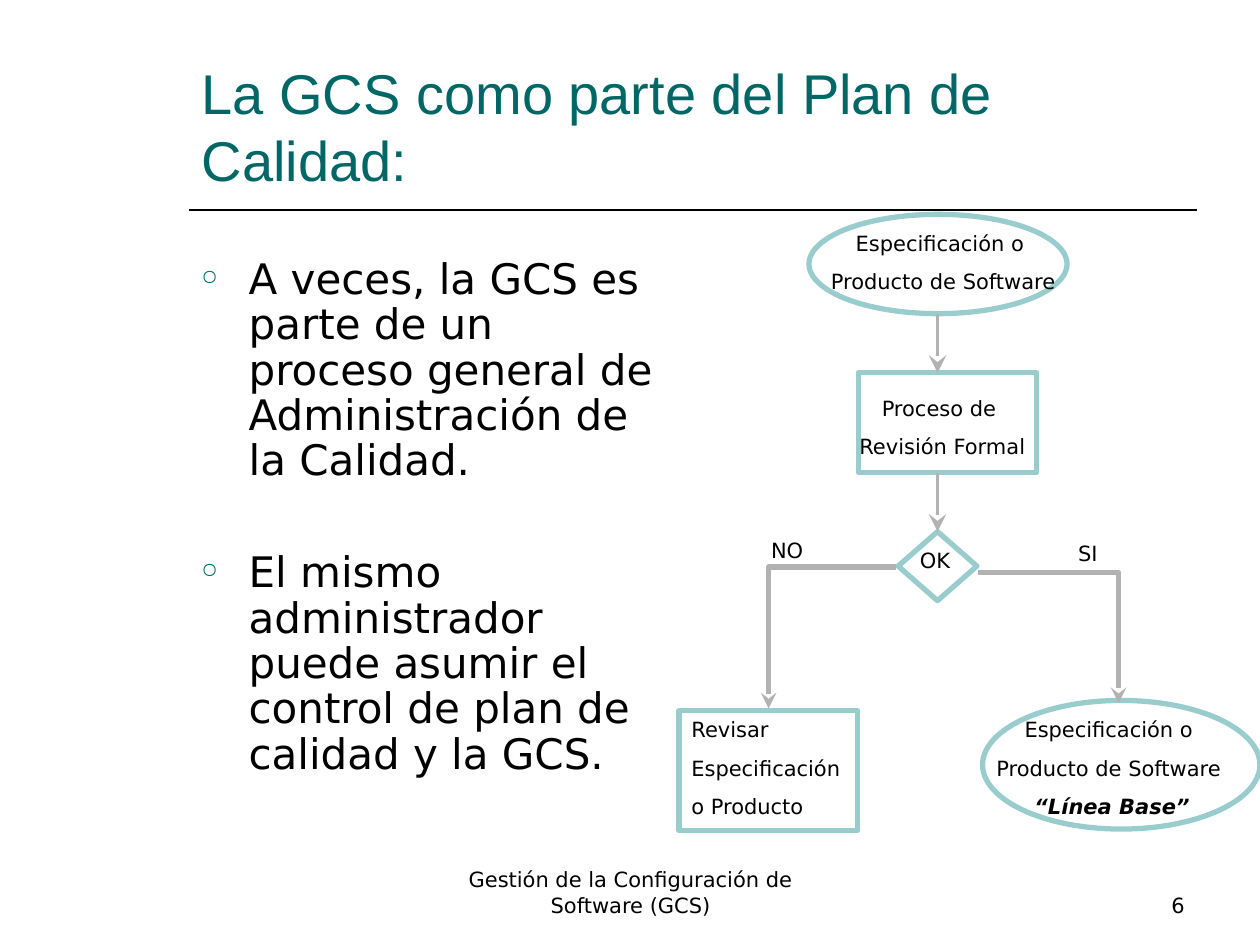
from lxml.etree import SubElement
from pptx import Presentation
from pptx.dml.color import RGBColor
from pptx.enum.shapes import MSO_CONNECTOR, MSO_SHAPE
from pptx.enum.text import MSO_ANCHOR, PP_ALIGN
from pptx.oxml.ns import qn
from pptx.util import Pt

COLORS = {"teal": "006666", "outline": "99CCCC", "arrow": "B2B2B2", "text": "000000"}
TITLE = "La GCS como parte del Plan de Calidad:"
BULLETS = [
    "A veces, la GCS es parte de un proceso general de Administración de la Calidad.",
    "El mismo administrador puede asumir el control de plan de calidad y la GCS.",
]
HANGING = {"marL": str(Pt(27)), "indent": str(Pt(-27))}
SMALL = {"name": "DejaVu Sans", "size": Pt(12)}
LARGE = {"name": "DejaVu Sans", "size": Pt(24)}
HEADING = {"name": "Arial", "size": Pt(32)}
EMPHASIS = {"bold": True, "italic": True}
NO_SIDE_MARGINS = {"margin_left": 0, "margin_right": 0}

FOOTERS = [
    ("Gestión de la Configuración de Software (GCS)", (246.25, 491.75, 228.25, 36), PP_ALIGN.CENTER),
    ("6", (516, 491.75, 168, 36), PP_ALIGN.RIGHT),
]
NODES = {
    "product": (MSO_SHAPE.OVAL, (462.25, 122.5, 147.5, 56.75)),
    "review": (MSO_SHAPE.RECTANGLE, (490.5, 213, 102, 57)),
    "decision": (MSO_SHAPE.DIAMOND, (513.25, 303.75, 45, 39.5)),
    "baseline": (MSO_SHAPE.OVAL, (561.5, 400.25, 158.5, 73.5)),
    "rework": (MSO_SHAPE.RECTANGLE, (388, 406, 102, 68.5)),
}
STRAIGHT_ARROWS = [((535.75, 179.25), (535.75, 213)), ((535.75, 270), (535.75, 303.75))]
ELBOW_ARROWS = [((558.75, 327), (639.25, 401.75)), ((512, 324), (439.25, 404.75))]
LABELS = [
    (["Especificación o ", "Producto de Software"], (468, 128, 142, 42.5), PP_ALIGN.CENTER),
    (["Proceso de ", "Revisión Formal"], (488.5, 222.5, 100, 42.5), PP_ALIGN.CENTER),
    (["OK"], (518.5, 309.5, 34, 21.5), PP_ALIGN.LEFT),
    (["Especificación o ", "Producto de Software ", "“Línea Base”"],
     (564.5, 406, 142, 51), PP_ALIGN.CENTER),
    (["SI"], (609, 305.25, 39.5, 21.5), PP_ALIGN.LEFT),
    (["NO"], (433.5, 303.75, 39.5, 21.5), PP_ALIGN.LEFT),
    (["Revisar", "Especificación", "o Producto"], (388, 406, 102, 62.5), PP_ALIGN.LEFT),
]


def points(values):
    return [Pt(value) for value in values]


def color(name):
    return RGBColor.from_string(COLORS[name])


def apply(target, formats):
    for name, value in formats.items():
        setattr(target, name, value)


def format_paragraph(paragraph, font, color_name="text", **formats):
    apply(paragraph, formats)
    apply(paragraph.font, font)
    paragraph.font.color.rgb = color(color_name)


def add_bullet(properties):
    bullet_color = SubElement(properties, qn("a:buClr"))
    SubElement(bullet_color, qn("a:srgbClr"), val=COLORS["teal"])
    SubElement(properties, qn("a:buSzPct"), val="50000")
    SubElement(properties, qn("a:buChar"), char="○")


def add_text(slide, lines, box, font, anchor=MSO_ANCHOR.TOP, gap=0, hanging=False, bullet=False, **formats):
    frame = slide.shapes.add_textbox(*points(box)).text_frame
    apply(frame, {"word_wrap": True, "vertical_anchor": anchor})
    for index, line in enumerate(lines):
        paragraph = frame.paragraphs[0] if index == 0 else frame.add_paragraph()
        paragraph.text = line
        properties = paragraph._p.get_or_add_pPr()
        if hanging:
            for name, value in HANGING.items():
                properties.set(name, value)
        if bullet:
            add_bullet(properties)
        if index:
            paragraph.space_before = Pt(gap)
        format_paragraph(paragraph, font, **formats)
    return frame


def add_line(slide, start, end, color_name, width, head=None, elbow=False):
    kind = MSO_CONNECTOR.ELBOW if elbow else MSO_CONNECTOR.STRAIGHT
    connector = slide.shapes.add_connector(kind, *points(start + end))
    connector.line.color.rgb = color(color_name)
    connector.line.width = Pt(width)
    properties = connector._element.spPr
    if elbow:
        properties.find(qn("a:prstGeom")).set("prst", "bentConnector2")
    if head:
        SubElement(properties.find(qn("a:ln")), qn("a:tailEnd"), type="stealth", w=head, len=head)
    SubElement(properties, qn("a:effectLst"))
    return connector


def add_node(slide, kind, box):
    shape = slide.shapes.add_shape(kind, *points(box))
    shape.shadow.inherit = False
    shape.fill.background()
    shape.line.color.rgb = color("outline")
    shape.line.width = Pt(3)
    return shape


def main():
    presentation = Presentation()
    apply(presentation, {"slide_width": Pt(720), "slide_height": Pt(540)})
    slide = presentation.slides.add_slide(presentation.slide_layouts[5])

    title = slide.shapes.title
    apply(title, dict(zip(("left", "top", "width", "height"), points((108, 24, 576, 90)))))
    title.text_frame.text = TITLE
    apply(title.text_frame, {"vertical_anchor": MSO_ANCHOR.BOTTOM, "word_wrap": True})
    format_paragraph(title.text_frame.paragraphs[0], HEADING, "teal", alignment=PP_ALIGN.LEFT)

    add_line(slide, (108, 120), (684, 120), "text", 1)
    for text, box, alignment in FOOTERS:
        add_text(slide, [text], box, SMALL, anchor=MSO_ANCHOR.BOTTOM, alignment=alignment)

    add_text(slide, BULLETS, (108, 144, 281.5, 324), LARGE, gap=38, hanging=True, bullet=True, line_spacing=0.9)

    nodes = {name: add_node(slide, *node) for name, node in NODES.items()}
    arrows = [add_line(slide, start, end, "arrow", 2, head="lg") for start, end in STRAIGHT_ARROWS]
    arrows[-1].end_connect(nodes["decision"], 0)
    for start, end in ELBOW_ARROWS:
        add_line(slide, start, end, "arrow", 3, head="med", elbow=True)

    for lines, box, alignment in LABELS:
        frame = add_text(slide, lines, box, SMALL, gap=7.5, alignment=alignment)
        if alignment == PP_ALIGN.CENTER:
            apply(frame, NO_SIDE_MARGINS)
        if "“Línea Base”" in lines:
            apply(frame.paragraphs[-1].font, EMPHASIS)

    presentation.save("out.pptx")


if __name__ == "__main__":
    main()
